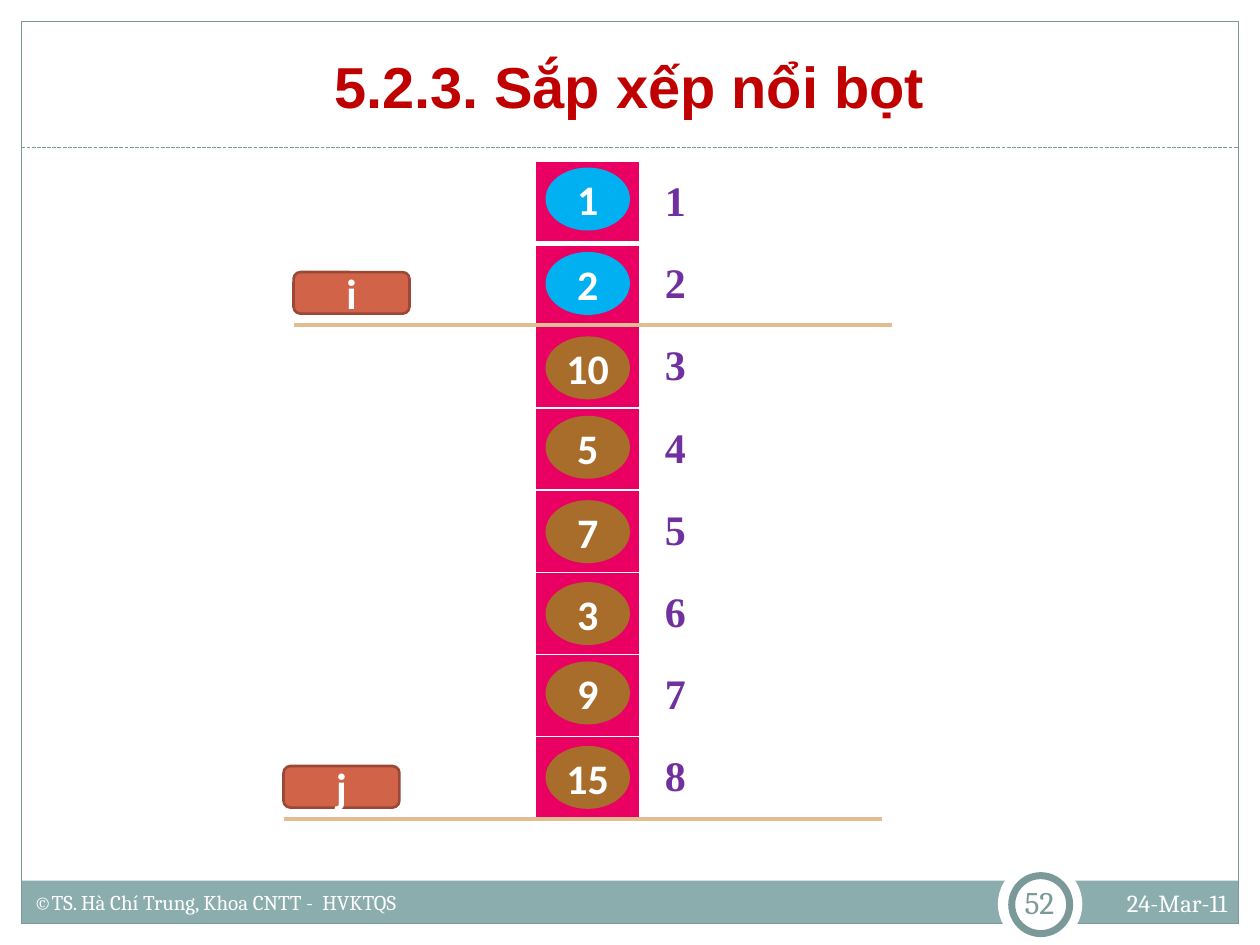
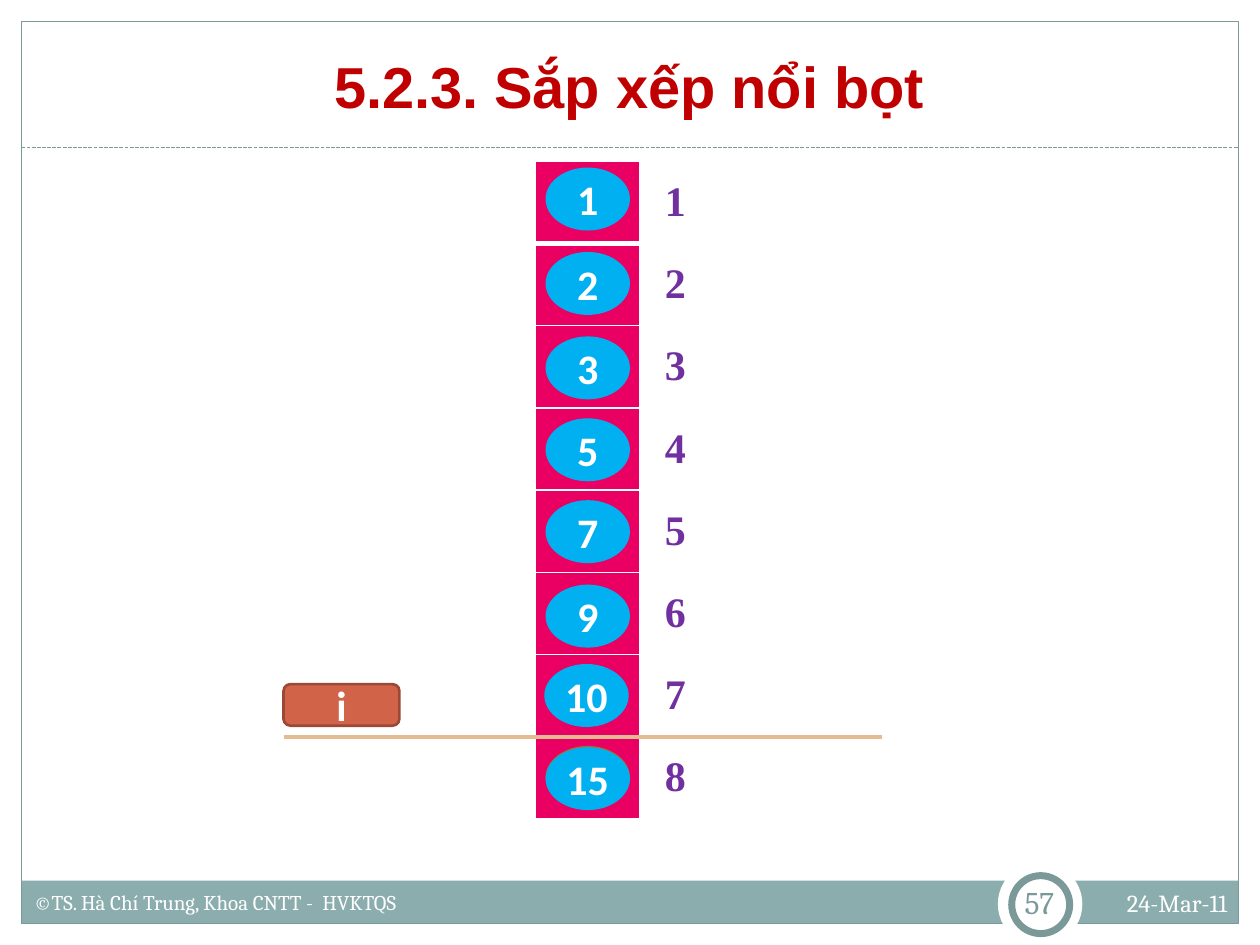
"""Build two slides that show steps of a bubble sort."""
from lxml import etree
from pptx import Presentation
from pptx.dml.color import RGBColor
from pptx.enum.dml import MSO_LINE
from pptx.enum.shapes import MSO_CONNECTOR, MSO_SHAPE
from pptx.enum.text import MSO_ANCHOR, PP_ALIGN
from pptx.oxml.ns import qn
from pptx.util import Inches, Pt

RECT, OVAL, ROUNDED = MSO_SHAPE.RECTANGLE, MSO_SHAPE.OVAL, MSO_SHAPE.ROUNDED_RECTANGLE
STRAIGHT, DASHED = MSO_CONNECTOR.STRAIGHT, MSO_LINE.SQUARE_DOT
TOP, MIDDLE, BOTTOM = MSO_ANCHOR.TOP, MSO_ANCHOR.MIDDLE, MSO_ANCHOR.BOTTOM
LEFT, CENTER, RIGHT = PP_ALIGN.LEFT, PP_ALIGN.CENTER, PP_ALIGN.RIGHT

WHITE = RGBColor(0xFF, 0xFF, 0xFF)
FRAME = RGBColor(0x7C, 0x99, 0x9A)
BAND = RGBColor(0x8C, 0xAD, 0xAE)
TITLE_RED = RGBColor(0xC0, 0x00, 0x00)
CELL_PINK = RGBColor(0xE9, 0x00, 0x62)
INDEX_PURPLE = RGBColor(0x70, 0x30, 0xA0)
SORTED = RGBColor(0x00, 0xB0, 0xF0)
UNSORTED = RGBColor(0xA9, 0x6D, 0x2B)
POINTER_FILL = RGBColor(0xD1, 0x63, 0x49)
POINTER_EDGE = RGBColor(0x9B, 0x49, 0x36)
POINTER_RULE = RGBColor(0xE3, 0xBC, 0x92)

BUBBLE_FONT = {"name": "Calibri", "size": Pt(24), "bold": True}
INDEX_FONT = {"name": "Times New Roman", "size": Pt(24), "bold": True}
TITLE_FONT = {"name": "Arial", "size": Pt(33), "bold": True}
DATE_FONT = {"name": "Cambria", "size": Pt(14)}
AUTHOR_FONT = {"name": "Cambria", "size": Pt(12)}
NUMBER_FONT = {"name": "Cambria", "size": Pt(18)}

STEPS = [
    {
        "number": "52",
        "bubbles": [
            ("1", 4.33, 1.33, SORTED), ("2", 4.33, 2, SORTED),
            ("10", 4.33, 2.67, UNSORTED), ("5", 4.33, 3.3, UNSORTED),
            ("7", 4.33, 3.97, UNSORTED), ("3", 4.33, 4.62, UNSORTED),
            ("9", 4.33, 5.25, UNSORTED), ("15", 4.33, 5.92, UNSORTED),
        ],
        "pointers": [("i", 2.33, 2.58), ("j", 2.25, 6.5)],
    },
    {
        "number": "57",
        "bubbles": [
            ("1", 4.33, 1.33, SORTED), ("2", 4.33, 2, SORTED),
            ("3", 4.33, 2.67, SORTED), ("5", 4.33, 3.32, SORTED),
            ("7", 4.33, 3.97, SORTED), ("9", 4.33, 4.64, SORTED),
            ("10", 4.32, 5.27, SORTED), ("15", 4.33, 5.92, UNSORTED),
            ("15", 4.33, 5.93, SORTED),
        ],
        "pointers": [("i", 2.25, 5.85)],
    },
]


def write(frame, text, font, color, align=CENTER, anchor=MIDDLE, inset=(0, 0)):
    """Put one formatted line of text into a text frame."""
    side, edge = map(Inches, inset)
    layout = {
        "word_wrap": True, "vertical_anchor": anchor,
        "margin_left": side, "margin_right": side,
        "margin_top": edge, "margin_bottom": edge,
    }
    for attribute, value in layout.items():
        setattr(frame, attribute, value)
    paragraph = frame.paragraphs[0]
    paragraph.alignment = align
    run = paragraph.add_run()
    run.text = text
    for attribute, value in font.items():
        setattr(run.font, attribute, value)
    run.font.color.rgb = color


def draw(slide, kind, box, fill=None, line=None, width=0.75):
    """Add a preset shape, or a straight line when kind is STRAIGHT."""
    left, top, wide, high = map(Inches, box)
    if kind is STRAIGHT:
        item = slide.shapes.add_connector(kind, left, top, left + wide, top + high)
        etree.SubElement(item.line._get_or_add_ln().getparent(), qn("a:effectLst"))
    else:
        item = slide.shapes.add_shape(kind, left, top, wide, high)
        item.shadow.inherit = False
        if fill is None:
            item.fill.background()
        else:
            item.fill.solid()
            item.fill.fore_color.rgb = fill
    if line is None:
        item.line.fill.background()
    else:
        item.line.color.rgb = line
        item.line.width = Pt(width)
    return item


prs = Presentation()
prs.slide_width, prs.slide_height = Inches(10), Inches(7.5)

for step in STEPS:
    slide = prs.slides.add_slide(prs.slide_layouts[6])

    draw(slide, RECT, (0.17, 6.99, 9.66, 0.34), fill=BAND)
    draw(slide, RECT, (0.17, 0.17, 9.66, 7.16), line=FRAME)
    draw(slide, STRAIGHT, (0.17, 1.17, 9.66, 0), line=FRAME).line.dash_style = DASHED
    draw(slide, OVAL, (7.92, 6.84, 0.67, 0.67), fill=WHITE)
    draw(slide, OVAL, (8.03, 6.95, 0.46, 0.46), fill=WHITE, line=FRAME, width=4)

    array = slide.shapes.add_table(
        8, 2, Inches(4.25), Inches(1.28), Inches(1.39), Inches(5.22)).table
    array.first_row = array.horz_banding = False
    array.columns[0].width, array.columns[1].width = Inches(0.83), Inches(0.56)
    for row in range(8):
        value_cell, index_cell = array.cell(row, 0), array.cell(row, 1)
        value_cell.fill.solid()
        value_cell.fill.fore_color.rgb = CELL_PINK
        index_cell.fill.background()
        index_cell.vertical_anchor = MIDDLE
        paragraph = index_cell.text_frame.paragraphs[0]
        paragraph.alignment = CENTER
        run = paragraph.add_run()
        run.text = str(row + 1)
        for attribute, value in INDEX_FONT.items():
            setattr(run.font, attribute, value)
        run.font.color.rgb = INDEX_PURPLE
        edges = {"lnL": 1, "lnR": 1, "lnT": 3 if row == 1 else 1, "lnB": 3 if row == 0 else 1}
        for cell in (value_cell, index_cell):
            properties = cell._tc.get_or_add_tcPr()
            for position, (edge, width) in enumerate(edges.items()):
                border = etree.Element(qn(f"a:{edge}"), w=str(Pt(width)))
                solid = etree.SubElement(border, qn("a:solidFill"))
                etree.SubElement(solid, qn("a:srgbClr"), val=str(WHITE))
                properties.insert(position, border)

    for value, left, top, color in step["bubbles"]:
        bubble = draw(slide, OVAL, (left, top, 0.67, 0.5), fill=color)
        write(bubble.text_frame, value, BUBBLE_FONT, WHITE)

    for label, left, level in step["pointers"]:
        draw(slide, STRAIGHT, (left, level, 4.75, 0), line=POINTER_RULE, width=2)
        pointer = draw(slide, ROUNDED, (left, level - 0.42, 0.92, 0.33),
                       fill=POINTER_FILL, line=POINTER_EDGE, width=1.5)
        write(pointer.text_frame, label, BUBBLE_FONT, WHITE)

    captions = [
        ((0.33, 0.25, 9.33, 0.75), "5.2.3. Sắp xếp nổi bọt",
         TITLE_FONT, TITLE_RED, CENTER, BOTTOM, (0.1, 0.05)),
        ((8.42, 7, 1.42, 0.33), "24-Mar-11", DATE_FONT, WHITE, RIGHT, TOP, (0.1, 0.05)),
        ((0.17, 7.01, 6, 0.31), "©TS. Hà Chí Trung, Khoa CNTT -  HVKTQS",
         AUTHOR_FONT, WHITE, LEFT, TOP, (0.1, 0.05)),
        ((8, 6.92, 0.5, 0.48), step["number"],
         NUMBER_FONT, FRAME, CENTER, MIDDLE, (0.05, 0.05)),
    ]
    for box, *caption in captions:
        write(slide.shapes.add_textbox(*map(Inches, box)).text_frame, *caption)

prs.save("out.pptx")
